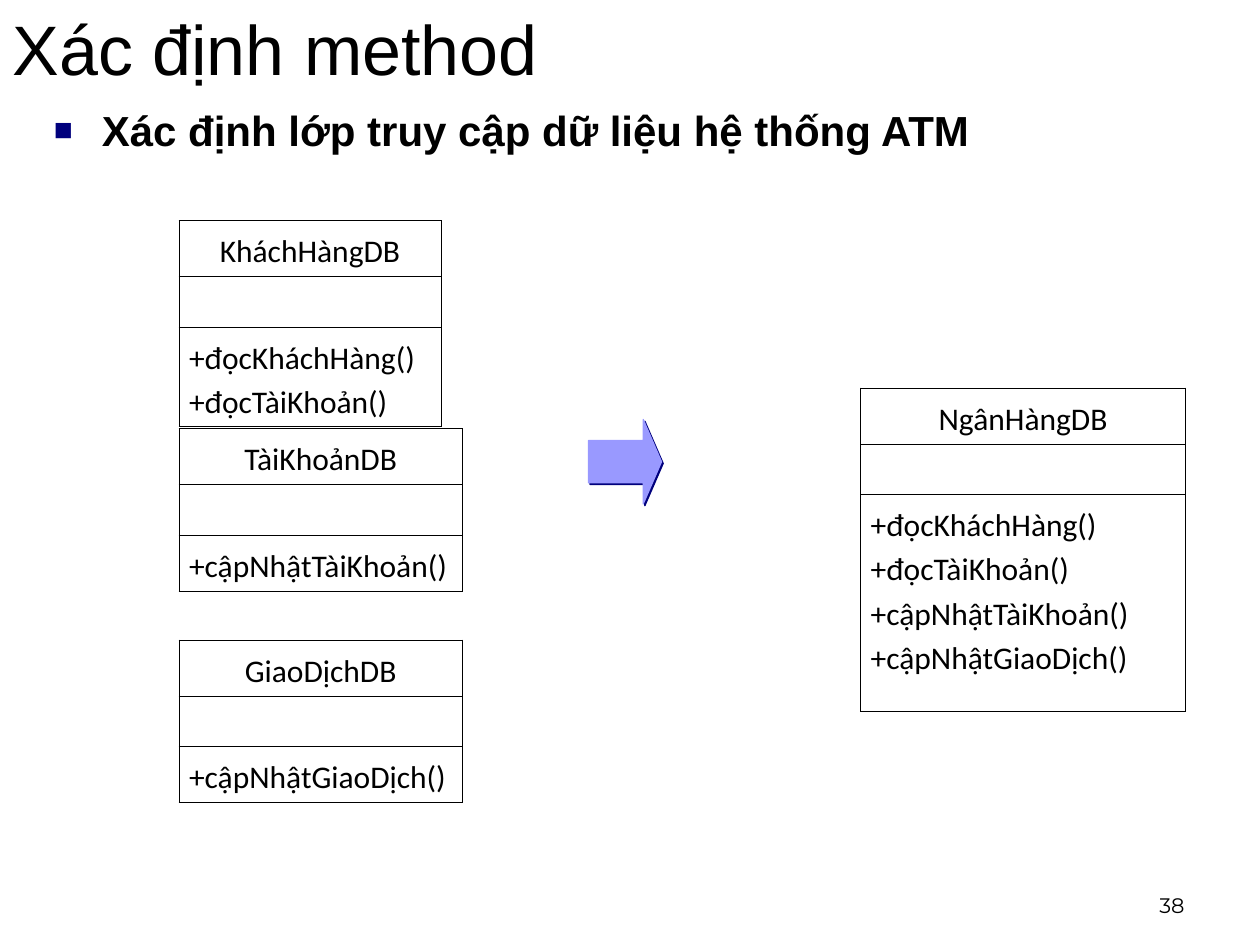
from lxml import etree
from pptx import Presentation
from pptx.dml.color import RGBColor
from pptx.enum.shapes import MSO_SHAPE
from pptx.enum.text import MSO_ANCHOR, PP_ALIGN
from pptx.oxml import parse_xml
from pptx.oxml.ns import nsdecls, qn
from pptx.util import Inches, Pt

BLACK, NAVY, LAVENDER = "000000", "00007D", "9999FF"
HEADING_FONT, CLASS_FONT, NUMBER_FONT = "Arial", "Calibri", "Montserrat"
ROW_HEIGHT = 0.35


def rgb(color):
    return RGBColor.from_string(color)


def inches(*lengths):
    return [Inches(length) for length in lengths]


def set_font(paragraph, name, size, bold=False):
    font = paragraph.font
    font.name, font.size, font.bold = name, Pt(size), bold
    font.color.rgb = rgb(BLACK)


def add_square_bullet(paragraph, indent):
    properties = paragraph._p.get_or_add_pPr()
    properties.set("marL", str(Inches(indent)))
    properties.set("indent", str(-Inches(indent)))
    color = etree.SubElement(properties, qn("a:buClr"))
    etree.SubElement(color, qn("a:srgbClr"), val=NAVY)
    etree.SubElement(properties, qn("a:buSzPct"), val="75000")
    etree.SubElement(properties, qn("a:buFont"), typeface=HEADING_FONT)
    etree.SubElement(properties, qn("a:buChar"), char="■")


def add_borders(cell, width=0.45):
    properties = cell._tc.get_or_add_tcPr()
    for side in ("lnL", "lnR", "lnT", "lnB"):
        properties.append(parse_xml(
            f'<a:{side} {nsdecls("a")} w="{Pt(width)}"><a:solidFill>'
            f'<a:srgbClr val="{BLACK}"/></a:solidFill></a:{side}>'))


class ClassDiagram:
    def __init__(self, slide):
        self.slide = slide

    def title(self, text, *box):
        title = self.slide.shapes.title
        title.left, title.top, title.width, title.height = inches(*box)
        frame = title.text_frame
        frame.text = text
        frame.vertical_anchor = MSO_ANCHOR.MIDDLE
        frame.paragraphs[0].alignment = PP_ALIGN.LEFT
        set_font(frame.paragraphs[0], HEADING_FONT, 40)

    def text(self, text, *box, anchor=MSO_ANCHOR.TOP):
        """Add a one-paragraph text box and return its paragraph."""
        frame = self.slide.shapes.add_textbox(*inches(*box)).text_frame
        frame.word_wrap = True
        frame.vertical_anchor = anchor
        frame.text = text
        return frame.paragraphs[0]

    def bullet(self, text, *box):
        paragraph = self.text(text, *box)
        add_square_bullet(paragraph, 0.38)
        set_font(paragraph, HEADING_FONT, 24, bold=True)

    def page_number(self, number, *box):
        paragraph = self.text(number, *box, anchor=MSO_ANCHOR.BOTTOM)
        paragraph.alignment = PP_ALIGN.RIGHT
        set_font(paragraph, NUMBER_FONT, 12)

    def uml_class(self, name, methods, left, top, width, methods_height):
        """Add a class box: name, empty attribute row, methods."""
        heights = (ROW_HEIGHT, ROW_HEIGHT, methods_height)
        table = self.slide.shapes.add_table(
            3, 1, *inches(left, top, width, sum(heights))).table
        table.first_row = table.horz_banding = False
        for row, height, lines in zip(table.rows, heights, ([name], [], methods)):
            row.height = Inches(height)
            cell = row.cells[0]
            cell.margin_left = cell.margin_right = Inches(0.08)
            cell.text = "\n".join(lines)
            add_borders(cell)
            cell.fill.background()
            for paragraph in cell.text_frame.paragraphs:
                if lines:
                    paragraph.line_spacing = 1.15
                set_font(paragraph, CLASS_FONT if lines else HEADING_FONT, 18)
        table.cell(0, 0).text_frame.paragraphs[0].alignment = PP_ALIGN.CENTER

    def arrow(self, *box):
        arrow = self.slide.shapes.add_shape(MSO_SHAPE.RIGHT_ARROW, *inches(*box))
        arrow.adjustments[0], arrow.adjustments[1] = 0.5, 0.25
        arrow.fill.solid()
        arrow.fill.fore_color.rgb = rgb(LAVENDER)
        arrow.line.color.rgb = rgb(LAVENDER)
        arrow.line.width = Pt(0.75)
        arrow.shadow.inherit = False
        effects = arrow._element.spPr.find(qn("a:effectLst"))
        shadow = etree.SubElement(effects, qn("a:outerShdw"), blurRad="0",
                                  dist=str(Pt(1.4)), dir=str(45 * 60000),
                                  algn="ctr", rotWithShape="0")
        etree.SubElement(shadow, qn("a:srgbClr"), val=NAVY)


def main():
    presentation = Presentation()
    presentation.slide_width, presentation.slide_height = inches(10, 7.5)
    title_only = presentation.slide_layouts[5]
    diagram = ClassDiagram(presentation.slides.add_slide(title_only))

    read_methods = ["+đọcKháchHàng()", "+đọcTàiKhoản()"]
    update_account, update_transaction = "+cậpNhậtTàiKhoản()", "+cậpNhậtGiaoDịch()"

    diagram.title("Xác định method", 0, 0, 9, 0.75)
    diagram.bullet("Xác định lớp truy cập dữ liệu hệ thống ATM",
                   0.33, 0.78, 9.25, 5.5)
    diagram.uml_class("KháchHàngDB", read_methods, 1.42, 1.75, 2.08, 0.69)
    diagram.uml_class("TàiKhoảnDB", [update_account], 1.42, 3.4, 2.25, ROW_HEIGHT)
    diagram.uml_class("GiaoDịchDB", [update_transaction],
                      1.42, 5.08, 2.25, ROW_HEIGHT)
    diagram.uml_class("NgânHàngDB",
                      [*read_methods, update_account, update_transaction],
                      6.83, 3.08, 2.58, 1.72)
    diagram.arrow(4.67, 3.33, 0.58, 0.67)
    diagram.page_number("38", 7.17, 6.83, 2.33, 0.5)

    presentation.save("out.pptx")


if __name__ == "__main__":
    main()
